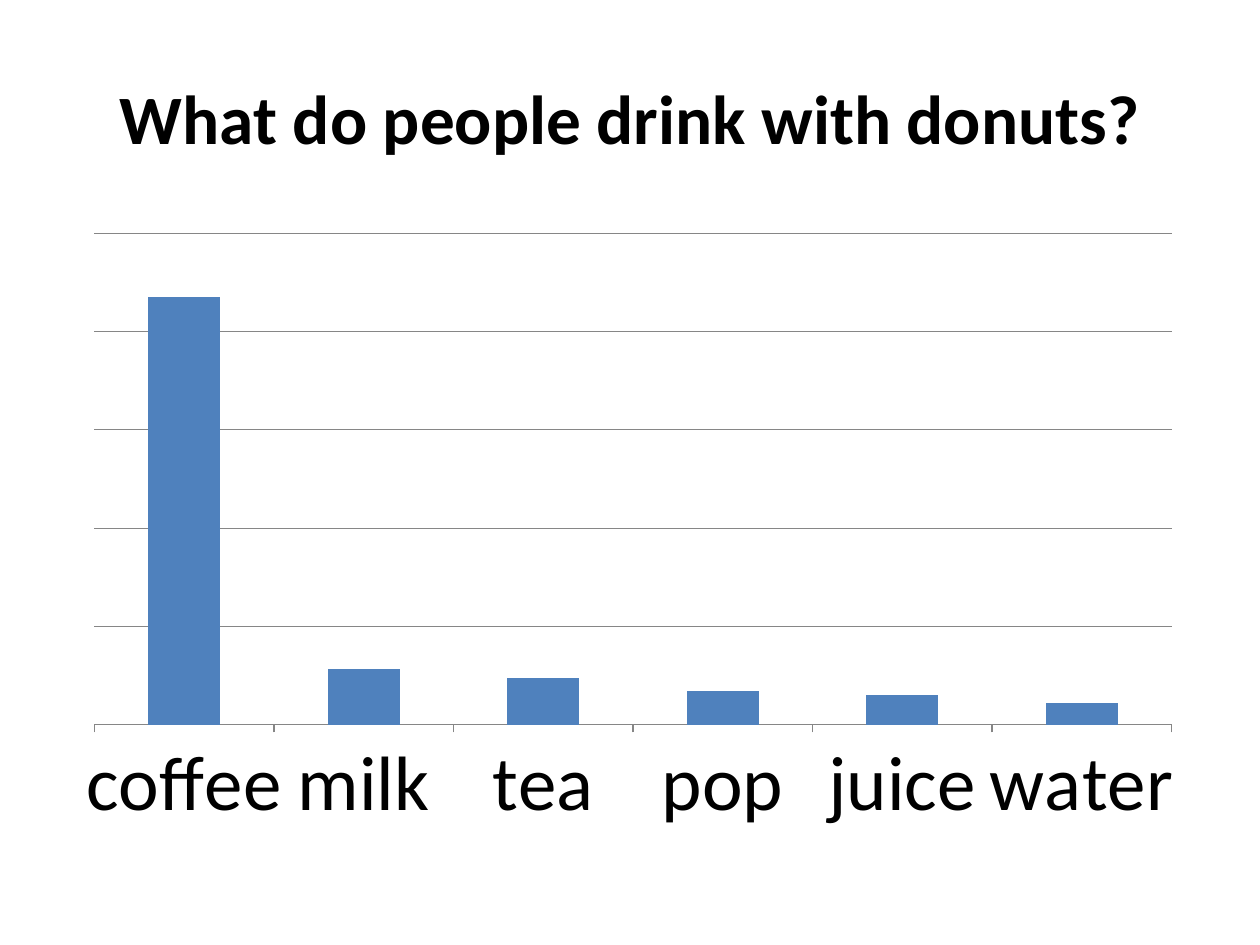
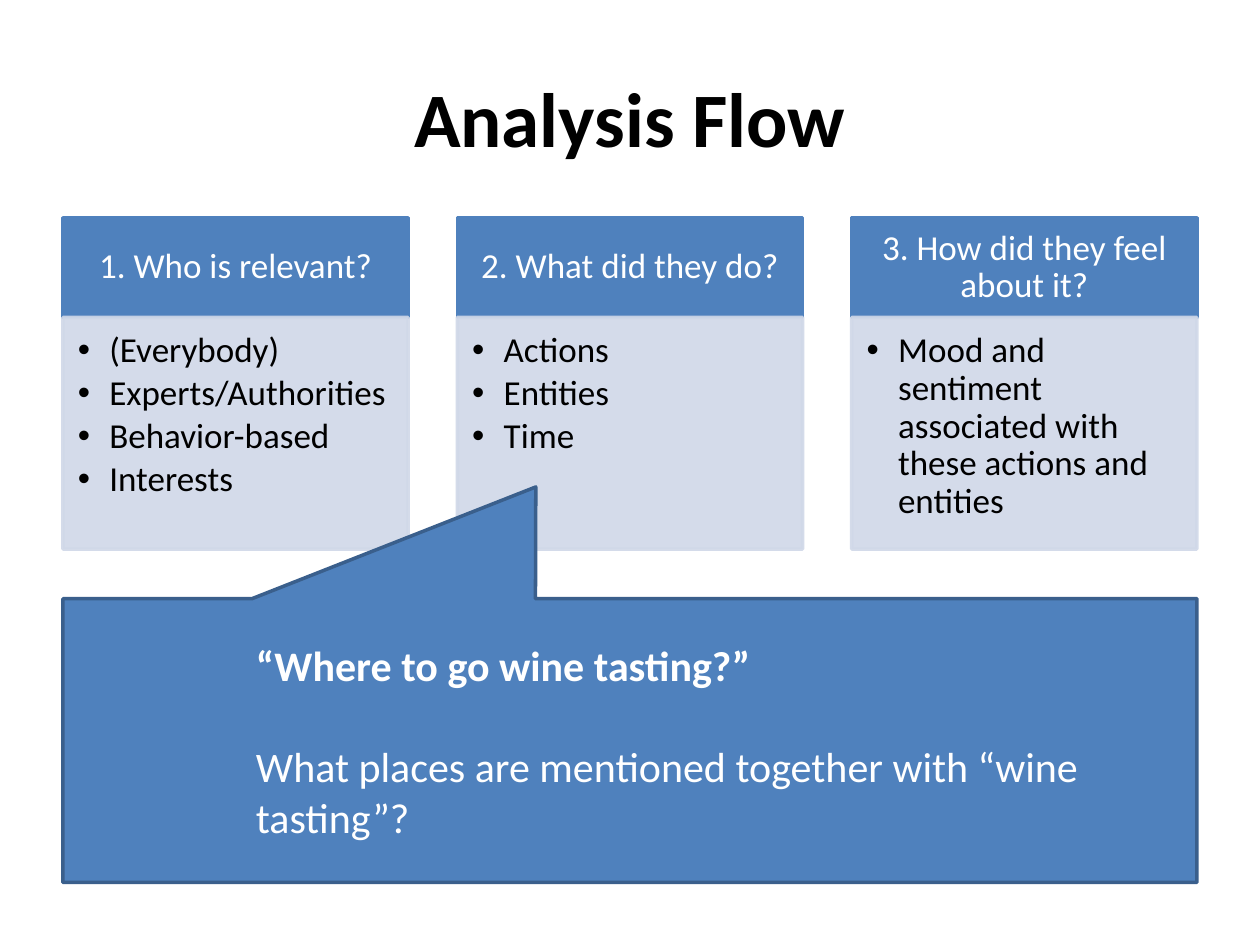
from lxml import etree
from pptx import Presentation
from pptx.chart.data import CategoryChartData
from pptx.dml.color import RGBColor
from pptx.enum.chart import XL_CHART_TYPE, XL_TICK_MARK
from pptx.enum.shapes import MSO_SHAPE
from pptx.enum.text import MSO_ANCHOR, PP_ALIGN
from pptx.oxml.ns import qn
from pptx.util import Cm, Pt

# Shared look
FONT = "Calibri"
BLACK = RGBColor(0x00, 0x00, 0x00)
WHITE = RGBColor(0xFF, 0xFF, 0xFF)
BLUE = RGBColor(0x4F, 0x81, 0xBD)
NAVY = RGBColor(0x3A, 0x5F, 0x8C)
PALE = RGBColor(0xD0, 0xD8, 0xE8)
GRAY = RGBColor(0x86, 0x86, 0x86)

LEFT, CENTER = PP_ALIGN.LEFT, PP_ALIGN.CENTER
TOP, MIDDLE = MSO_ANCHOR.TOP, MSO_ANCHOR.MIDDLE
RECT, CALLOUT = MSO_SHAPE.RECTANGLE, MSO_SHAPE.RECTANGULAR_CALLOUT
COLUMN = XL_CHART_TYPE.COLUMN_CLUSTERED
OUTSIDE, NO_TICK = XL_TICK_MARK.OUTSIDE, XL_TICK_MARK.NONE

# Page grid, in centimetres
EDGE, WIDE = 1.27, 22.86
CARD = 6.96
STEP = (WIDE - CARD) / 2

DRINKS = {"coffee": 100, "milk": 13, "tea": 11,
          "pop": 8, "juice": 7, "water": 5}

STAGES = [
    ("1. Who is relevant?",
     ["(Everybody)", "Experts/Authorities", "Behavior-based", "Interests"]),
    ("2. What did they do?", ["Actions", "Entities", "Time"]),
    ("3. How did they feel about it?",
     ["Mood and sentiment associated with these actions and entities"]),
]


def add_dot(para):
    """Give a paragraph a round bullet with a hanging indent."""
    props = para._p.get_or_add_pPr()
    props.set("marL", str(Cm(0.635)))
    props.set("indent", str(-Cm(0.635)))
    etree.SubElement(props, qn("a:buFont")).set("typeface", "Arial")
    etree.SubElement(props, qn("a:buChar")).set("char", "•")


def put_text(shape, lines, size=20, color=BLACK, bold=(), align=LEFT,
             anchor=MIDDLE, inset=(0.25, 0.13, 0.25, 0.13),
             space=1.0, after=0, dots=False):
    """Write lines into a shape; bold holds the numbers of bold lines."""
    frame = shape.text_frame
    frame.word_wrap = True
    frame.vertical_anchor = anchor
    (frame.margin_left, frame.margin_top,
     frame.margin_right, frame.margin_bottom) = map(Cm, inset)
    for i, line in enumerate(lines):
        para = frame.add_paragraph() if i else frame.paragraphs[0]
        para.alignment = align
        para.line_spacing = space
        para.space_after = Pt(after if i < len(lines) - 1 else 0)
        if dots:
            add_dot(para)
        run = para.add_run()
        run.text = line
        font = run.font
        font.name, font.size, font.bold = FONT, Pt(size), i in bold
        font.color.rgb = color


def add_title(slide, text, size=44):
    box = slide.shapes.add_textbox(Cm(EDGE), Cm(0.76), Cm(WIDE), Cm(3.18))
    put_text(box, [text], size=size, bold=[0], align=CENTER)


def add_box(slide, kind, x, y, w, h, fill, line, alpha=None):
    box = slide.shapes.add_shape(kind, Cm(x), Cm(y), Cm(w), Cm(h))
    box.shadow.inherit = False
    box.fill.solid()
    box.fill.fore_color.rgb = fill
    box.line.color.rgb = line
    box.line.width = Pt(2)
    if alpha:
        for color in box._element.spPr.iter(qn("a:srgbClr")):
            etree.SubElement(color, qn("a:alpha")).set("val", str(alpha * 1000))
    return box


def add_card(slide, x, head, items):
    """A blue heading over a pale list."""
    top = add_box(slide, RECT, x, 4.39, CARD, 2.01, BLUE, BLUE)
    put_text(top, [head], color=WHITE, align=CENTER, space=0.9,
             inset=(0.4, 0.23, 0.4, 0.23))
    body = add_box(slide, RECT, x, 6.4, CARD, 4.67, PALE, PALE, alpha=90)
    put_text(body, items, anchor=TOP, space=0.9, after=3, dots=True,
             inset=(0.3, 0.3, 0.4, 0.43))


def add_bars(slide, values):
    data = CategoryChartData()
    data.categories = list(values)
    data.add_series("Series 1", list(values.values()))
    chart = slide.shapes.add_chart(
        COLUMN, Cm(EDGE), Cm(4.45), Cm(WIDE), Cm(12.57), data).chart
    chart.has_title = chart.has_legend = False
    chart.font.name, chart.font.size = FONT, Pt(10)
    chart.font.color.rgb = BLACK

    plot = chart.plots[0]
    plot.gap_width = 150
    plot.vary_by_categories = False
    fill = plot.series[0].format.fill
    fill.solid()
    fill.fore_color.rgb = BLUE

    # Five even bands, with the scale itself hidden
    scale = chart.value_axis
    scale.visible = False
    scale.minimum_scale, scale.maximum_scale = 0, 115
    scale.major_unit = 23
    scale.has_major_gridlines = True
    names = chart.category_axis
    names.major_tick_mark, names.minor_tick_mark = OUTSIDE, NO_TICK
    names.tick_labels.font.size = Pt(44)
    names.tick_labels.font.name = FONT
    names.tick_labels.font.color.rgb = BLACK
    for part in (scale.major_gridlines, names):
        part.format.line.color.rgb = GRAY
        part.format.line.width = Pt(0.75)


def add_quote(slide, lines):
    box = add_box(slide, CALLOUT, EDGE, 12.07, WIDE, 5.72, BLUE, NAVY)
    box.adjustments[0], box.adjustments[1] = -0.083, -0.894
    put_text(box, lines, size=24, color=WHITE, bold=[0], after=29,
             inset=(3.89, 0.13, 0.25, 0.13))


def main():
    deck = Presentation()
    deck.slide_width, deck.slide_height = Cm(25.4), Cm(19.05)
    blank = deck.slide_layouts[6]

    # Drinks chart
    slide = deck.slides.add_slide(blank)
    add_title(slide, "What do people drink with donuts?", size=39.6)
    add_bars(slide, DRINKS)

    # Analysis steps
    slide = deck.slides.add_slide(blank)
    add_title(slide, "Analysis Flow")
    for i, (head, items) in enumerate(STAGES):
        add_card(slide, EDGE + i * STEP, head, items)
    add_quote(slide, [
        "“Where to go wine tasting?”",
        "What places are mentioned together with “wine tasting”?"])

    deck.save("out.pptx")


if __name__ == "__main__":
    main()
